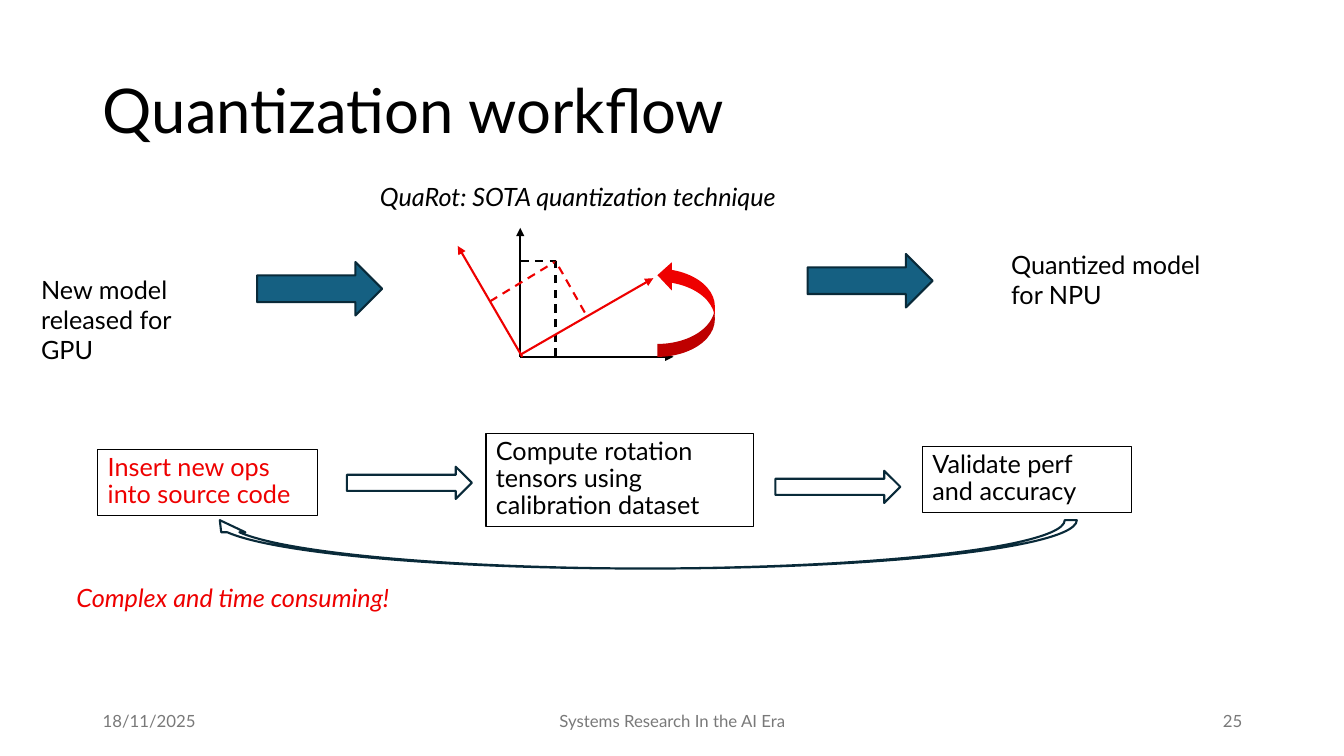
from pptx import Presentation
from pptx.dml.color import RGBColor
from pptx.enum.dml import MSO_LINE
from pptx.enum.shapes import MSO_CONNECTOR, MSO_SHAPE as SHAPE
from pptx.enum.text import MSO_ANCHOR as ANCHOR, MSO_AUTO_SIZE as AUTO, PP_ALIGN as ALIGN
from pptx.oxml.ns import qn
from pptx.util import Pt
from lxml.etree import SubElement

PX = 9144
BLACK, RED, GREY, BLUE, NAVY = "000000", "EE0000", "797979", "156082", "092A39"


def px(*lengths):
    """Turn px lengths into EMU."""
    return [n * PX for n in lengths]


def color(hex_code):
    """Make a colour from a hex string."""
    return RGBColor.from_string(hex_code)


def apply(target, **values):
    """Set each named value on the target."""
    for name, value in values.items():
        setattr(target, name, value)


def write(sp, text, size=18, c=BLACK, italic=False, frame=None, para=None):
    """Put one formatted paragraph into a shape."""
    tf = sp.text_frame
    apply(tf, **{"word_wrap": True, "vertical_anchor": ANCHOR.TOP, **(frame or {})})
    p = tf.paragraphs[0]
    p.text = text
    apply(p, **{"alignment": ALIGN.LEFT, **(para or {})})
    for r in p.runs:
        apply(r.font, name="Lato", size=Pt(size), italic=italic)
        r.font.color.rgb = color(c)


def add_label(s, box, text, **fmt):
    """Add a text box."""
    write(s.shapes.add_textbox(*px(*box)), text, **fmt)


def add_shape(s, kind, box, fill=None, line=None, width=1.5, rotation=0):
    """Add a preset shape with optional fill and outline."""
    sp = s.shapes.add_shape(kind, *px(*box))
    sp.shadow.inherit = False
    sp.rotation = rotation
    for part, c in ((sp.fill, fill), (sp.line.fill, line)):
        if c:
            part.solid()
            part.fore_color.rgb = color(c)
        else:
            part.background()
    if line:
        sp.line.width = Pt(width)
    return sp


def add_step(s, box, text, c=BLACK):
    """Add an outlined workflow step."""
    sp = add_shape(s, SHAPE.RECTANGLE, box, line=BLACK, width=0.75)
    write(sp, text, c=c, frame={"auto_size": AUTO.SHAPE_TO_FIT_TEXT},
          para={"line_spacing": 0.9, "space_after": Pt(6)})


def add_line(s, ends, c, arrow):
    """Add a solid arrow or a dashed line."""
    cn = s.shapes.add_connector(MSO_CONNECTOR.STRAIGHT, *px(*ends))
    cn.line.width = Pt(1.5)
    cn.line.color.rgb = color(c)
    if arrow:
        SubElement(cn.line._get_or_add_ln(), qn("a:tailEnd"), type="triangle")
    else:
        cn.line.dash_style = MSO_LINE.DASH
    SubElement(cn._element.spPr, qn("a:effectLst"))


def add_title(s, text):
    """Fill and place the title placeholder."""
    title = s.shapes.title
    names = ("left", "top", "width", "height")
    apply(title, **dict(zip(names, px(92, 40, 1150, 145))))
    write(title, text, size=44, frame={"vertical_anchor": ANCHOR.MIDDLE},
          para={"line_spacing": 0.9})


def add_footer(s):
    """Add the date, footer text and slide number."""
    for x, w, text, align in (
        (92, 300, "18/11/2025", ALIGN.LEFT),
        (442, 450, "Systems Research In the AI Era", ALIGN.CENTER),
        (942, 300, "25", ALIGN.RIGHT),
    ):
        add_label(s, (x, 695, w, 40), text, size=12, c=GREY,
                  frame={"vertical_anchor": ANCHOR.MIDDLE}, para={"alignment": align})


def add_rotation_diagram(s):
    """Draw the black axes, the rotated red axes and the turn arrow."""
    for ends, c, arrow in (
        ((516, 354, 516, 226), BLACK, True),
        ((516, 354, 668, 354), BLACK, True),
        ((551, 354, 551, 259), BLACK, False),
        ((516, 259, 551, 259), BLACK, False),
        ((518, 354, 454, 244), RED, True),
        ((516, 352, 648, 276), RED, True),
        ((580, 310, 551, 259), RED, False),
        ((486, 299, 550, 260), RED, False),
    ):
        add_line(s, ends, c, arrow)
    turn = add_shape(s, SHAPE.CURVED_RIGHT_ARROW, (652, 259, 57, 95), fill=RED, rotation=180)
    for i, value in enumerate((0.225, 0.489, 0.25)):
        turn.adjustments[i] = value


def main():
    """Build the slide and save it."""
    prs = Presentation()
    prs.slide_width, prs.slide_height = px(1333, 750)
    s = prs.slides.add_slide(prs.slide_layouts[5])
    add_title(s, "Quantization workflow")
    add_footer(s)

    no_wrap = {"word_wrap": False}
    add_label(s, (367, 175, 427, 40), "QuaRot: SOTA quantization technique",
              italic=True, frame=no_wrap)
    add_rotation_diagram(s)
    add_label(s, (31, 267, 203, 71), "New model released for GPU")
    add_label(s, (993, 242, 216, 71), "Quantized model for NPU")

    add_step(s, (97, 446, 218, 65), "Insert new ops\vinto source code", RED)
    add_step(s, (482, 430, 265, 92), "Compute rotation tensors using calibration dataset")
    add_step(s, (915, 443, 207, 65), "Validate perf\vand accuracy")
    add_label(s, (66, 573, 352, 40), "Complex and time consuming!",
              c=RED, italic=True, frame=no_wrap)

    for x, y, h, fill in ((255, 260, 53, BLUE), (801, 252, 53, BLUE),
                          (344, 463, 32, None), (769, 467, 32, None)):
        add_shape(s, SHAPE.RIGHT_ARROW, (x, y, 124, h), fill=fill, line=NAVY)
    add_shape(s, SHAPE.CURVED_DOWN_ARROW, (206, 516, 862, 48), line=NAVY, rotation=180)
    prs.save("out.pptx")


if __name__ == "__main__":
    main()
